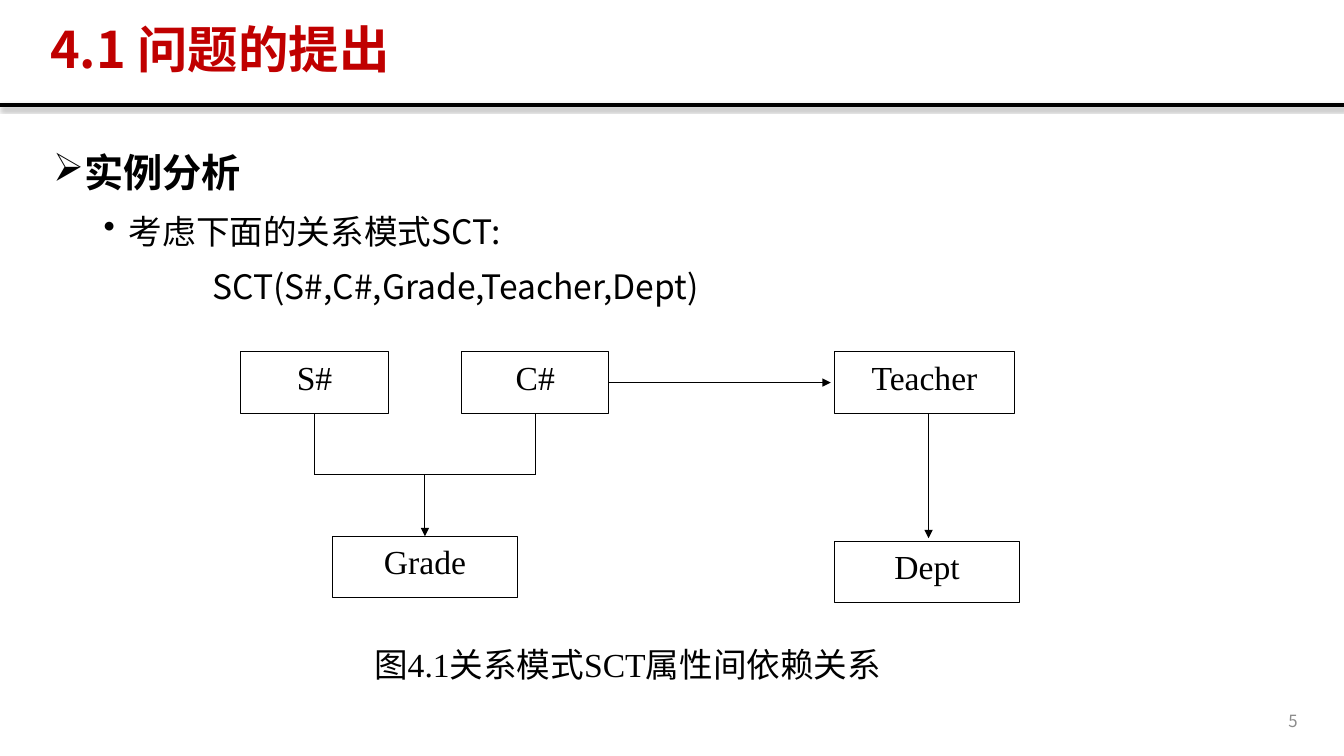
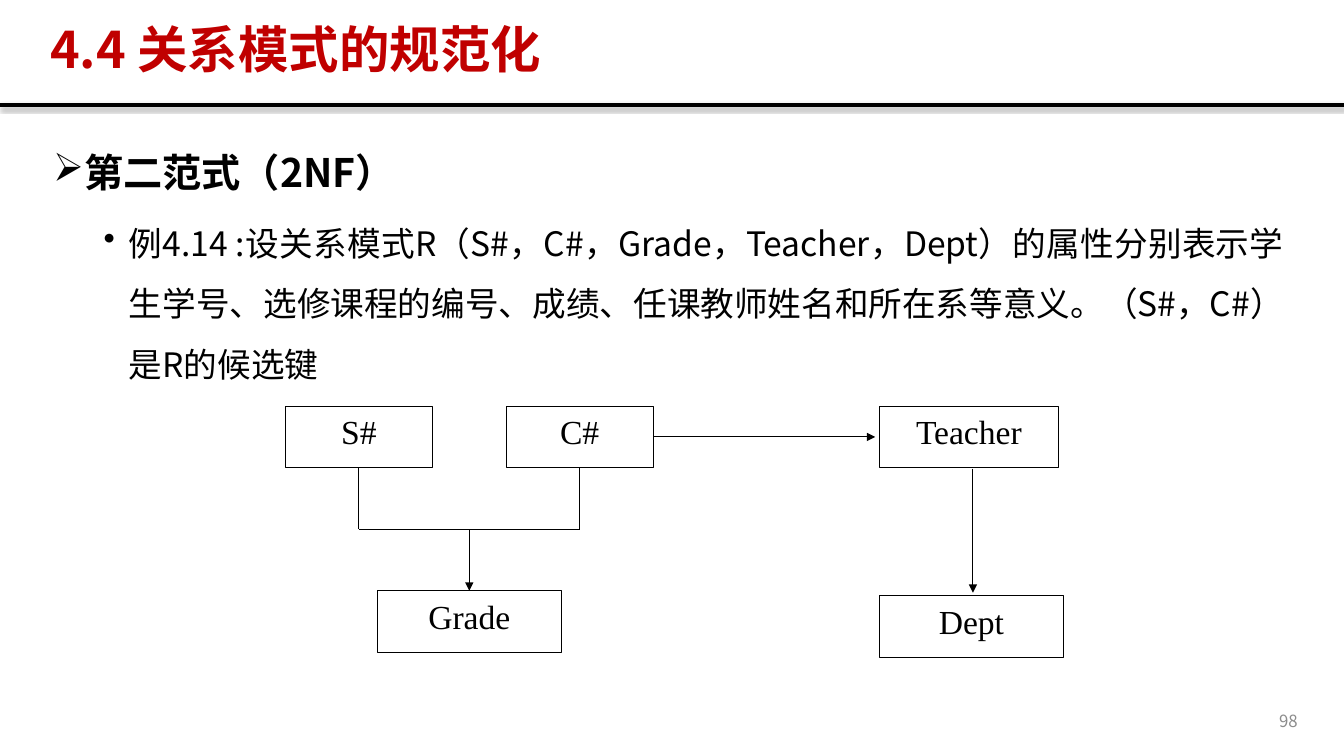
from lxml.etree import SubElement
from pptx import Presentation
from pptx.dml.color import RGBColor
from pptx.enum.shapes import MSO_CONNECTOR, MSO_SHAPE
from pptx.enum.text import MSO_ANCHOR, PP_ALIGN
from pptx.oxml.ns import qn
from pptx.util import Inches, Pt

SANS, SERIF = "Noto Sans CJK SC", "Times New Roman"
BLACK, WHITE, RED, GRAY = "000000", "FFFFFF", "C00000", "8C8C8C"


def rgb(value):
    return RGBColor.from_string(value)


class Deck:
    def __init__(self):
        self.prs = Presentation()
        self.prs.slide_width = Inches(13.33)
        self.prs.slide_height = Inches(7.5)
        self.s = None

    def slide(self, title, number):
        """Start a slide with the shared rule, title and page number."""
        self.s = self.prs.slides.add_slide(self.prs.slide_layouts[6])
        rule = self.line(0, 1.04, 13.33, 1.04, width=3)
        effects = rule._element.spPr.find(qn("a:effectLst"))
        shadow = SubElement(effects, qn("a:outerShdw"), blurRad=str(Pt(3.1)),
                            dist=str(Pt(1.8)), dir="5400000", rotWithShape="0")
        color = SubElement(shadow, qn("a:srgbClr"), val=BLACK)
        SubElement(color, qn("a:alpha"), val="35000")

        tf = self.text_frame(0.4, 0.19, 11.7, 0.65, MSO_ANCHOR.MIDDLE)
        p = tf.paragraphs[0]
        self.set_text(p, title, 36, color=RED, bold=True, align=PP_ALIGN.JUSTIFY)
        p.line_spacing = 0.9
        tf = self.text_frame(9.97, 6.95, 3, 0.4, MSO_ANCHOR.MIDDLE)
        self.set_text(tf.paragraphs[0], str(number), 12, color=GRAY, align=PP_ALIGN.RIGHT)

    def text_frame(self, x, y, w, h, anchor=MSO_ANCHOR.TOP):
        tf = self.s.shapes.add_textbox(Inches(x), Inches(y), Inches(w), Inches(h)).text_frame
        tf.word_wrap = True
        tf.vertical_anchor = anchor
        return tf

    def set_text(self, p, text, size, font=SANS, color=BLACK, bold=False, align=PP_ALIGN.CENTER):
        p.text = text
        p.alignment = align
        for r in p.runs:
            r.font.size, r.font.name, r.font.bold = Pt(size), font, bold
            r.font.color.rgb = rgb(color)
            SubElement(r._r.get_or_add_rPr(), qn("a:ea"), typeface=SANS)

    def body(self, heading, items, width, spacing=1.2):
        """Add a heading and its items, each a (text, bullet, left indent)."""
        tf = self.text_frame(0.43, 1.33, width, 5.42)
        p = tf.paragraphs[0]
        self.set_text(p, heading, 28, bold=True, align=PP_ALIGN.JUSTIFY)
        p.line_spacing = 1.2
        self.bullet(p, "➢", 0.25)
        for text, bullet, left in items:
            p = tf.add_paragraph()
            self.set_text(p, text, 24, align=PP_ALIGN.JUSTIFY)
            p.line_spacing, p.space_before = spacing, Pt(5)
            self.bullet(p, bullet, left)

    def bullet(self, p, char, left):
        pPr = p._p.get_or_add_pPr()
        pPr.set("marL", str(Inches(left)))
        pPr.set("indent", str(Inches(-0.25 if char else 0)))
        if char:
            SubElement(pPr, qn("a:buChar"), char=char)

    def box(self, text, x, y, w, h=0.61, outline=True):
        sp = self.s.shapes.add_shape(MSO_SHAPE.RECTANGLE, Inches(x), Inches(y),
                                     Inches(w), Inches(h))
        sp.shadow.inherit = False
        sp.fill.solid()
        sp.fill.fore_color.rgb = rgb(WHITE)
        if outline:
            sp.line.color.rgb = rgb(BLACK)
            sp.line.width = Pt(0.75)
        else:
            sp.line.fill.background()
        tf = sp.text_frame
        tf.word_wrap = True
        tf.vertical_anchor = MSO_ANCHOR.TOP
        tf.margin_left = tf.margin_right = 0
        self.set_text(tf.paragraphs[0], text, 24, font=SERIF)
        return sp

    def line(self, x1, y1, x2, y2, width=0.75, arrow=False, begin=None, end=None):
        """Draw a line; begin and end are (shape, side) joints."""
        c = self.s.shapes.add_connector(MSO_CONNECTOR.STRAIGHT, Inches(x1), Inches(y1),
                                        Inches(x2), Inches(y2))
        c.line.color.rgb = rgb(BLACK)
        c.line.width = Pt(width)
        spPr = c._element.spPr
        if arrow:
            SubElement(spPr.find(qn("a:ln")), qn("a:tailEnd"), type="triangle")
        SubElement(spPr, qn("a:effectLst"))
        if begin:
            c.begin_connect(*begin)
        if end:
            c.end_connect(*end)
        return c

    def dependencies(self, x, y):
        """Draw the attribute dependency diagram from its top left corner."""
        key_w, wide, h = 1.46, 1.83, 0.61
        bus_y, grade_y = y + 2 * h, y + 3 * h
        key_xs = [x, x + 2.19]
        mids = [key_x + key_w / 2 for key_x in key_xs]
        center = sum(mids) / 2
        right = x + 5.89

        # Boxes
        keys = [self.box(name, key_x, y, key_w) for name, key_x in zip(("S#", "C#"), key_xs)]
        grade = self.box("Grade", center - wide / 2, grade_y, wide)
        self.box("Teacher", right, y, 1.78)
        self.box("Dept", right, y + 1.88, wide)

        # Both keys determine the grade
        for key, mid in zip(keys, mids):
            self.line(mid, y + h, mid, bus_y, begin=(key, 2))
        self.line(mids[0], bus_y, mids[1], bus_y)
        self.line(center, bus_y, center, grade_y, arrow=True, end=(grade, 0))

        # Course to teacher to department
        self.line(key_xs[1] + key_w, y + h / 2, right - 0.04, y + h / 2,
                  arrow=True, begin=(keys[1], 3))
        self.line(right + 0.93, y + h + 0.01, right + 0.93, y + 1.85, arrow=True)


def main():
    deck = Deck()

    # Example analysis
    deck.slide("4.1 问题的提出", 5)
    deck.body("实例分析", [("考虑下面的关系模式SCT:", "•", 0.75),
                       ("SCT(S#,C#,Grade,Teacher,Dept)", None, 1.58)], 12.53)
    deck.dependencies(2.39, 3.49)
    deck.box("图4.1关系模式SCT属性间依赖关系", 2.39, 6.34, 7.67, outline=False)

    # Second normal form
    deck.slide("4.4 关系模式的规范化", 98)
    deck.body("第二范式（2NF）",
              [("例4.14 :设关系模式R（S#，C#，Grade，Teacher，Dept）的属性分别表示学生学号、"
                "选修课程的编号、成绩、任课教师姓名和所在系等意义。（S#，C#）是R的候选键", "•", 0.75)],
              12.4, spacing=1.5)
    deck.dependencies(2.83, 4.03)

    deck.prs.save("out.pptx")


if __name__ == "__main__":
    main()
